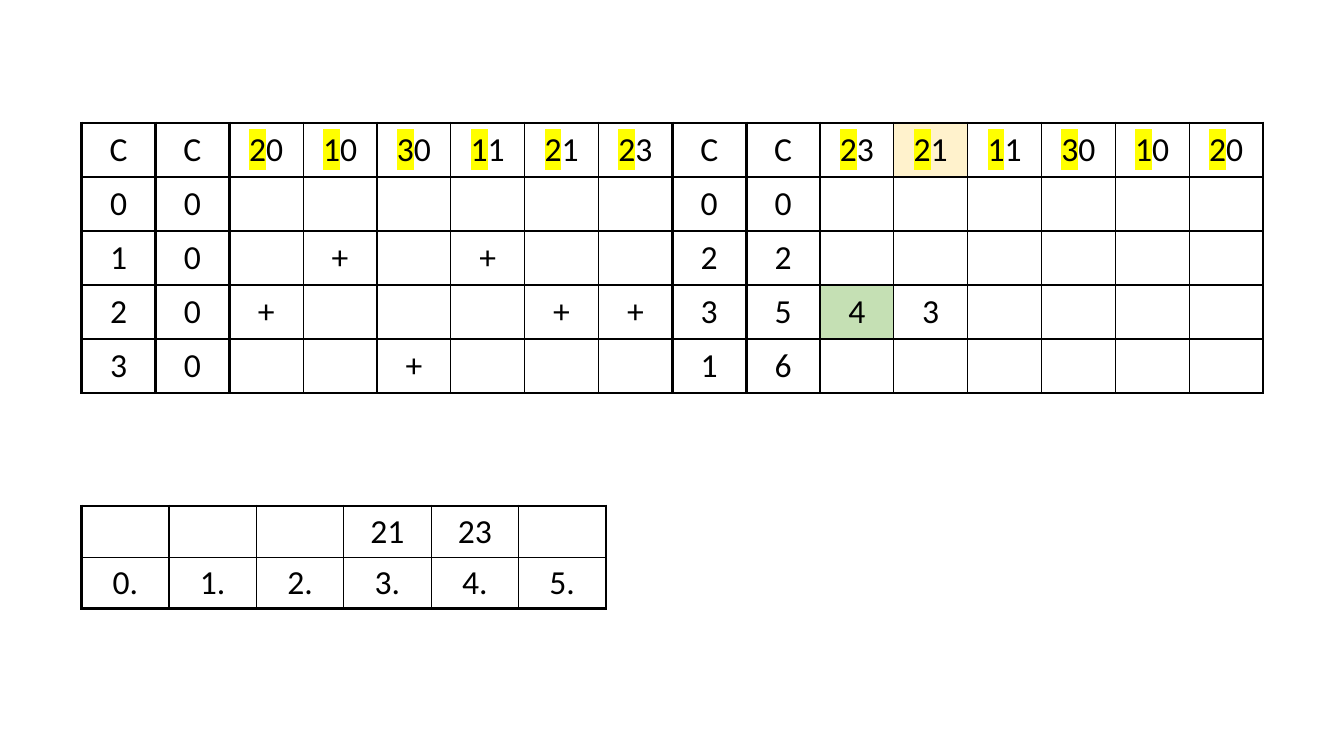
"""Build a slide with a counting sort table and its output array."""
from lxml.etree import SubElement
from pptx import Presentation
from pptx.dml.color import RGBColor
from pptx.enum.text import MSO_ANCHOR as Anchor, PP_ALIGN as Align
from pptx.oxml.ns import qn
from pptx.util import Inches, Pt

BLACK = RGBColor(0x00, 0x00, 0x00)
YELLOW = RGBColor(0xFF, 0xFF, 0x00)
CREAM = RGBColor(0xFF, 0xF2, 0xCC)
GREEN = RGBColor(0xC5, 0xE0, 0xB4)
THIN, THICK = Pt(1), Pt(2.25)

COUNT_COLUMNS = {0, 1, 8, 9}
COUNT_EDGES = COUNT_COLUMNS | {2, 10}
SORT_ROWS = [
    ["C", "C", "20", "10", "30", "11", "21", "23", "C", "C", "23", "21", "11", "30", "10", "20"],
    ["0", "0", "", "", "", "", "", "", "0", "0", "", "", "", "", "", ""],
    ["1", "0", "", "+", "", "+", "", "", "2", "2", "", "", "", "", "", ""],
    ["2", "0", "+", "", "", "", "+", "+", "3", "5", "4", "3", "", "", "", ""],
    ["3", "0", "", "", "+", "", "", "", "1", "6", "", "", "", "", "", ""],
]
SORT_FILLS = {(0, 11): CREAM, (3, 10): GREEN}
OUTPUT_ROWS = [
    ["", "", "", "21", "23", ""],
    ["0.", "1.", "2.", "3.", "4.", "5."],
]


def add_border(cell, side, width):
    line = SubElement(cell._tc.get_or_add_tcPr(), qn(f"a:ln{side}"), w=str(width))
    fill = SubElement(line, qn("a:solidFill"))
    SubElement(fill, qn("a:srgbClr"), val=str(BLACK))


def add_grid(slide, rows, left, top, width, height):
    columns = len(rows[0])
    table = slide.shapes.add_table(
        len(rows), columns, Inches(left), Inches(top), Inches(width), Inches(height)).table
    table.first_row = table.horz_banding = False
    for column in table.columns:
        column.width = Inches(width / columns)
    for row_index, row in enumerate(rows):
        table.rows[row_index].height = Inches(height / len(rows))
        for column_index, text in enumerate(row):
            cell = table.cell(row_index, column_index)
            cell.vertical_anchor = Anchor.MIDDLE
            paragraph = cell.text_frame.paragraphs[0]
            paragraph.alignment = Align.CENTER
            paragraph.font.name = "Calibri"
            paragraph.font.size = Pt(24)
            paragraph.font.color.rgb = BLACK
            if text:
                paragraph.add_run().text = text
    return table


presentation = Presentation()
presentation.slide_width = Inches(13.33)
presentation.slide_height = Inches(7.5)
slide = presentation.slides.add_slide(presentation.slide_layouts[6])

output_table = add_grid(slide, OUTPUT_ROWS, 0.81, 5.02, 5.2, 1)
for row in range(2):
    for column in range(6):
        cell = output_table.cell(row, column)
        add_border(cell, "L", THICK if column == 0 else THIN)
        add_border(cell, "R", THICK if column == 5 else THIN)
        add_border(cell, "T", THICK if row == 0 else THIN)
        add_border(cell, "B", THICK if row == 1 else THIN)
        cell.fill.background()

sort_table = add_grid(slide, SORT_ROWS, 0.81, 1.22, 11.72, 2.68)
for row in range(5):
    right_edges = COUNT_EDGES | {16} if row == 0 else COUNT_EDGES
    for column in range(16):
        cell = sort_table.cell(row, column)
        cell.margin_left = cell.margin_right = Inches(0.13)
        cell.margin_top = cell.margin_bottom = Inches(0.06)
        thick_bottom = row == 0 or (row == 4 and column in COUNT_COLUMNS)
        add_border(cell, "L", THICK if column in COUNT_EDGES else THIN)
        add_border(cell, "R", THICK if column + 1 in right_edges else THIN)
        add_border(cell, "T", THICK if row < 2 else THIN)
        add_border(cell, "B", THICK if thick_bottom else THIN)
        if (row, column) in SORT_FILLS:
            cell.fill.solid()
            cell.fill.fore_color.rgb = SORT_FILLS[row, column]
        else:
            cell.fill.background()

for column, number in enumerate(SORT_ROWS[0]):
    if column not in COUNT_COLUMNS:
        paragraph = sort_table.cell(0, column).text_frame.paragraphs[0]
        digit = paragraph.runs[0]
        digit.text = number[0]
        highlight = SubElement(digit._r.get_or_add_rPr(), qn("a:highlight"))
        SubElement(highlight, qn("a:srgbClr"), val=str(YELLOW))
        paragraph.add_run().text = number[1]

presentation.save("out.pptx")
